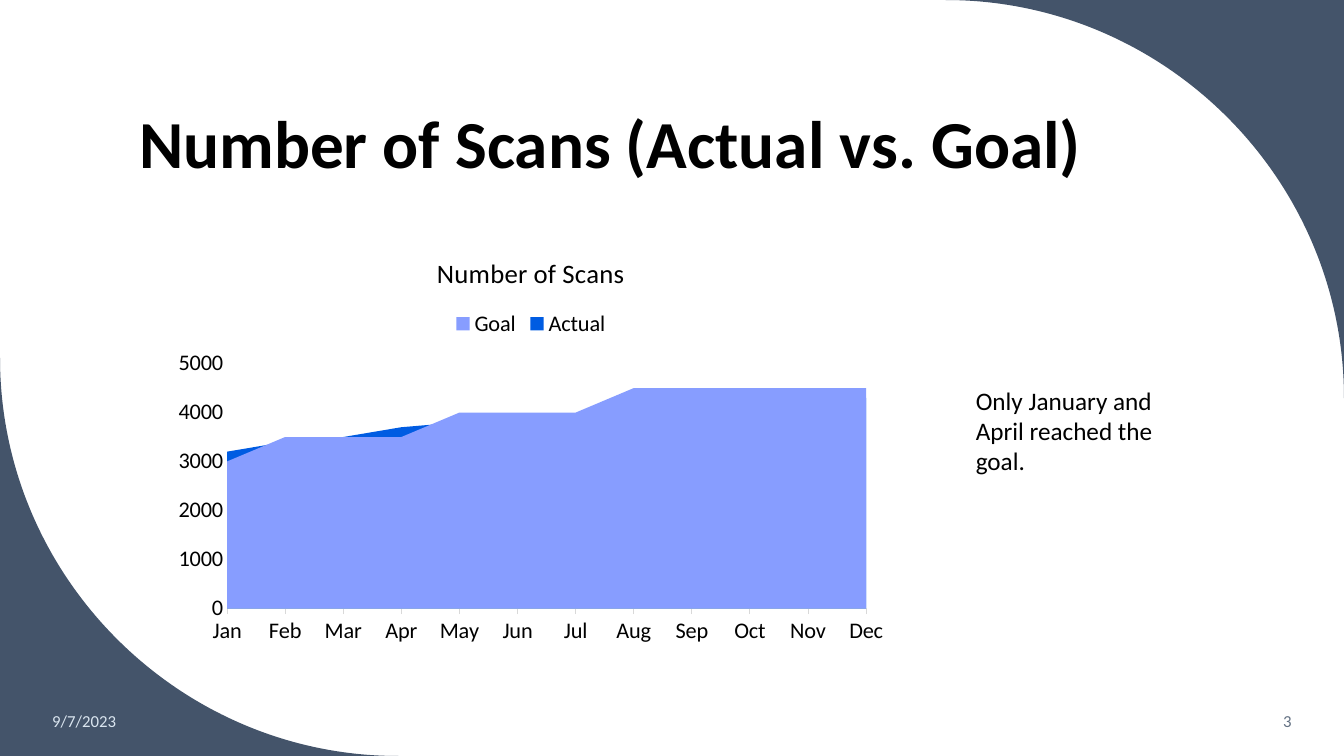
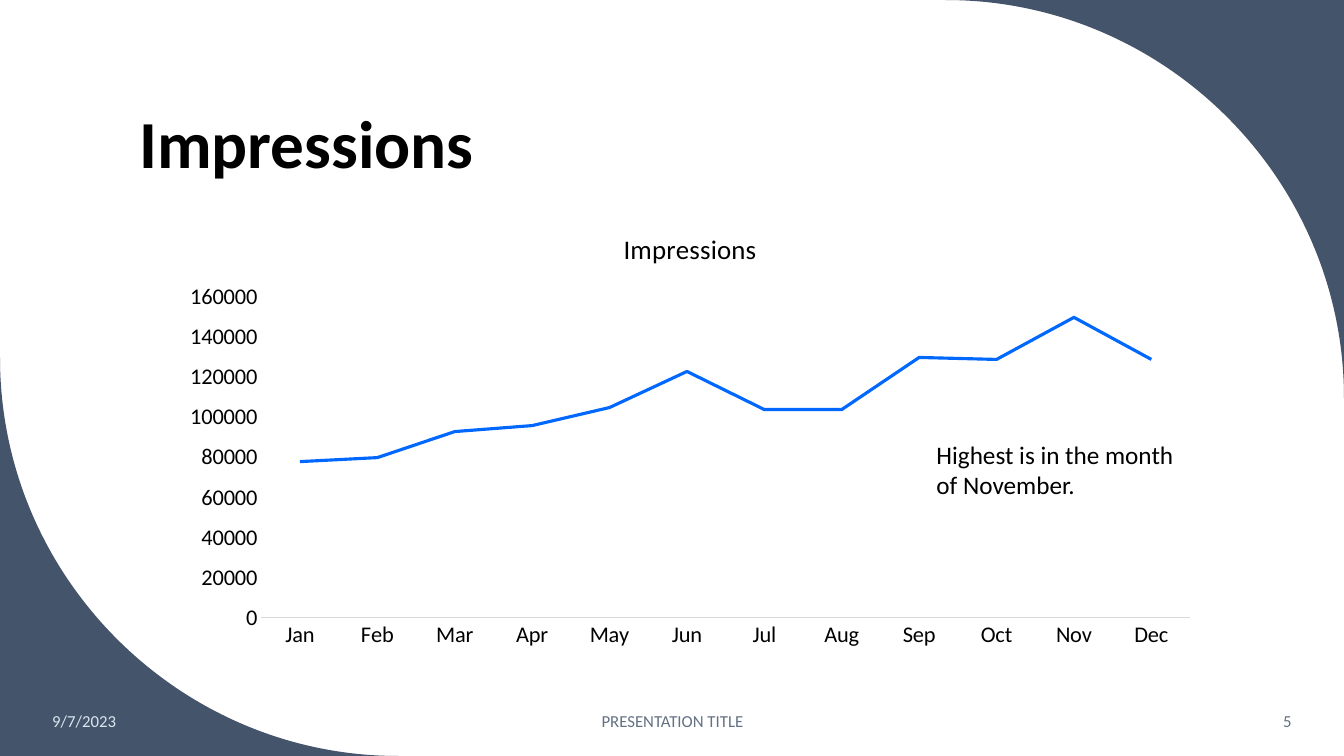
from dataclasses import dataclass

from pptx import Presentation
from pptx.chart.data import CategoryChartData
from pptx.dml.color import RGBColor
from pptx.enum.chart import XL_CHART_TYPE as Kind, XL_LEGEND_POSITION as LegendSpot, XL_TICK_MARK as Tick
from pptx.enum.text import MSO_ANCHOR as Anchor, MSO_AUTO_SIZE as AutoSize, PP_ALIGN as Align
from pptx.oxml import parse_xml
from pptx.oxml.ns import nsdecls
from pptx.util import Pt

PX = 9144
WIDTH, HEIGHT = 1333, 750
MONTHS = ["Jan", "Feb", "Mar", "Apr", "May", "Jun", "Jul", "Aug", "Sep", "Oct", "Nov", "Dec"]


@dataclass(frozen=True)
class Theme:
    font: str = "Calibri"
    ink: str = "000000"
    corner: str = "44546A"
    date: str = "DAE5EF"
    footer: str = "637183"
    axis: str = "D9D9D9"
    border: str = "FFFFFF"
    goal: str = "879DFF"
    actual: str = "005CE2"
    impressions: str = "0068FF"
    title_size: float = 48
    chart_title_size: float = 19.2
    chart_size: float = 16
    note_size: float = 18
    footer_size: float = 12


def px(*lengths):
    return [round(length * PX) for length in lengths]


class Deck:
    def __init__(self, theme):
        self.theme = theme
        self.prs = Presentation()
        self.prs.slide_width, self.prs.slide_height = px(WIDTH, HEIGHT)
        self.layout = self.prs.slide_layouts[5]
        self.slide = None

    def style(self, font, size, color, bold=False):
        font.name = self.theme.font
        font.size = Pt(size)
        font.bold = bold
        font.color.rgb = RGBColor.from_string(color)

    def add_slide(self, title, number, footer=None):
        self.slide = self.prs.slides.add_slide(self.layout)
        if len(self.prs.slides) == 1:
            self.share_corners()
        self.title(title)
        theme = self.theme
        self.footer("9/7/2023", 42, 186, Align.LEFT, theme.date)
        if footer:
            self.footer(footer, 442, 450, Align.CENTER, theme.footer)
        self.footer(number, 1110, 181, Align.RIGHT, theme.footer)

    def share_corners(self, radius=395):
        top_right = self.corner(WIDTH, 0, -radius, radius)
        bottom_left = self.corner(0, HEIGHT, radius, -radius)
        for order, corner in enumerate((top_right, bottom_left)):
            corner.element.nvSpPr.cNvPr.id = 100 + order
            self.layout.shapes.element.insert(2 + order, corner.element)

    def corner(self, x, y, across, down, bend=0.45):
        outline = self.slide.shapes.build_freeform(*px(x, y))
        outline.add_line_segments([
            px(x + across, y),
            px(x + across * bend, y),
            px(x, y + down * bend),
            px(x, y + down),
        ], close=True)
        corner = outline.convert_to_shape()
        self.bend_arc(corner)
        corner.shadow.inherit = False
        corner.fill.solid()
        corner.fill.fore_color.rgb = RGBColor.from_string(self.theme.corner)
        corner.line.fill.background()
        return corner

    def bend_arc(self, corner):
        edge, *controls = corner.element.xpath(".//a:lnTo")
        curve = parse_xml(f"<a:cubicBezTo {nsdecls('a')}/>")
        edge.addnext(curve)
        for control in controls:
            curve.append(control[0])
            control.getparent().remove(control)

    def title(self, words):
        title = self.slide.shapes.title
        title.left, title.top, title.width, title.height = px(128, 42, 1069, 145)
        title.text_frame.text = words
        title.text_frame.vertical_anchor = Anchor.BOTTOM
        line = title.text_frame.paragraphs[0]
        line.alignment = Align.LEFT
        line.line_spacing = 0.9
        self.style(line.runs[0].font, self.theme.title_size, self.theme.ink, bold=True)

    def text(self, words, box, size, color, align=Align.LEFT):
        frame = self.slide.shapes.add_textbox(*px(*box)).text_frame
        frame.word_wrap = True
        frame.text = words
        line = frame.paragraphs[0]
        line.alignment = align
        self.style(line.runs[0].font, size, color)
        return frame

    def footer(self, words, left, width, align, color):
        frame = self.text(words, (left, 695, width, 40), self.theme.footer_size, color, align)
        frame.vertical_anchor = Anchor.MIDDLE

    def note(self, words, *box):
        frame = self.text(words, box, self.theme.note_size, self.theme.ink)
        frame.auto_size = AutoSize.SHAPE_TO_FIT_TEXT

    def chart(self, kind, title, box, series, top, step):
        theme = self.theme
        data = CategoryChartData()
        data.categories = MONTHS
        for name, values, _ in series:
            data.add_series(name, values)
        chart = self.slide.shapes.add_chart(kind, *px(*box), data).chart
        self.style(chart.font, theme.chart_size, theme.ink)
        chart.has_title = True
        heading = chart.chart_title.text_frame
        heading.text = title
        self.style(heading.paragraphs[0].runs[0].font, theme.chart_title_size, theme.ink)
        chart.has_legend = len(series) > 1
        if chart.has_legend:
            chart.legend.position = LegendSpot.TOP
            chart.legend.include_in_layout = False
            self.style(chart.legend.font, theme.chart_size, theme.ink)
        months, amounts = chart.category_axis, chart.value_axis
        for axis in (months, amounts):
            axis.has_major_gridlines = False
            axis.major_tick_mark = axis.minor_tick_mark = Tick.NONE
            self.style(axis.tick_labels.font, theme.chart_size, theme.ink)
        months.format.line.color.rgb = RGBColor.from_string(theme.axis)
        months.format.line.width = Pt(0.75)
        amounts.format.line.fill.background()
        amounts.minimum_scale, amounts.maximum_scale, amounts.major_unit = 0, top, step
        chart.plots[0].vary_by_categories = False
        for plotted, (_, _, color) in zip(chart.plots[0].series, series):
            if kind == Kind.LINE:
                plotted.smooth = False
                plotted.format.line.width = Pt(2.25)
                plotted.format.line.color.rgb = RGBColor.from_string(color)
            else:
                plotted.format.fill.solid()
                plotted.format.fill.fore_color.rgb = RGBColor.from_string(color)
        return chart

    def border(self, chart):
        chart.element.xpath("./c:txPr")[0].addprevious(parse_xml(
            f"<c:spPr {nsdecls('c', 'a')}><a:noFill/><a:ln w=\"{Pt(2.25)}\"><a:solidFill>"
            f"<a:srgbClr val=\"{self.theme.border}\"/></a:solidFill></a:ln></c:spPr>"
        ))


def main():
    theme = Theme()
    deck = Deck(theme)

    deck.add_slide("Number of Scans (Actual vs. Goal)", "3")
    goal = [3000] + [3500] * 3 + [4000] * 3 + [4500] * 5
    actual = [3200, 3400, 3500, 3700, 3800, 3900, 3900, 4000, 4100, 4100, 4200, 4300]
    scans = deck.chart(
        Kind.AREA, "Number of Scans", (161, 232, 731, 418),
        [("Goal", goal, theme.goal), ("Actual", actual, theme.actual)], 5000, 1000,
    )
    scans.category_axis.major_tick_mark = Tick.OUTSIDE
    deck.border(scans)
    deck.note("Only January and April reached the goal.", 958, 377, 214, 101)

    deck.add_slide("Impressions", "5", "PRESENTATION TITLE")
    impressions = [78000, 80000, 93000, 96000, 105000, 123000,
                   104000, 104000, 130000, 129000, 150000, 129000]
    deck.chart(
        Kind.LINE, "Impressions", (168, 209, 1033, 444),
        [("Series 1", impressions, theme.impressions)], 160000, 20000,
    )
    deck.note("Highest is in the month of November.", 919, 431, 270, 71)

    deck.prs.save("out.pptx")


if __name__ == "__main__":
    main()
